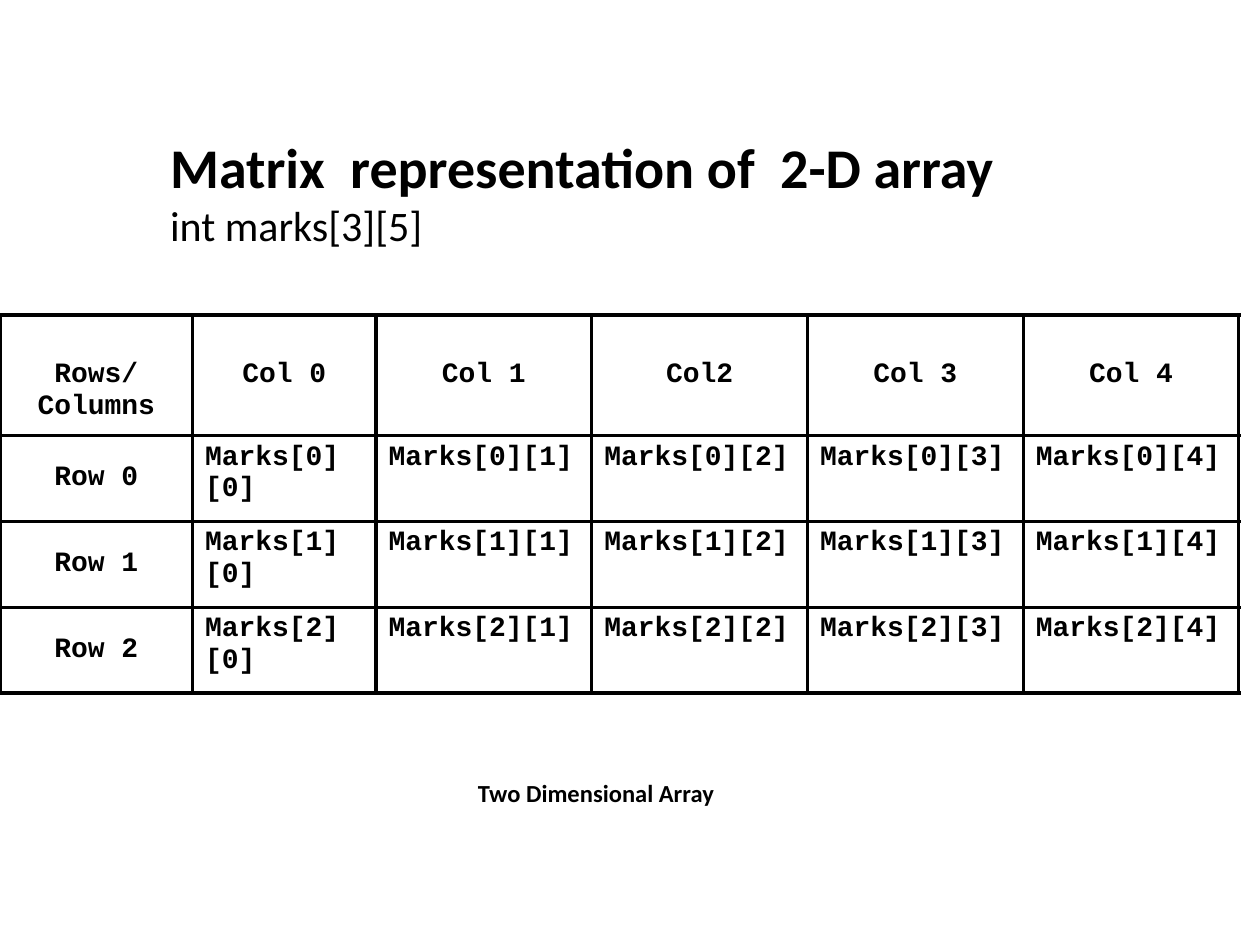
"""Builds the slide on the matrix view of a two-dimensional array."""
from lxml import etree
from pptx import Presentation
from pptx.dml.color import RGBColor
from pptx.enum.text import MSO_ANCHOR, PP_ALIGN
from pptx.oxml.ns import qn
from pptx.util import Cm, Pt

BLACK = RGBColor(0, 0, 0)
WHITE = RGBColor(255, 255, 255)


class Deck:
    body_font = "Calibri"
    code_font = "Courier New"
    border = Pt(2)

    def __init__(self, width, height):
        self.prs = Presentation()
        self.prs.slide_width, self.prs.slide_height = Cm(width), Cm(height)
        self.slide = self.prs.slides.add_slide(self.prs.slide_layouts[6])

    def add_text(self, paragraph, text, font, size, bold=True, align=PP_ALIGN.LEFT):
        paragraph.alignment = align
        run = paragraph.add_run()
        run.text = text
        run.font.name, run.font.size, run.font.bold = font, Pt(size), bold
        run.font.color.rgb = BLACK

    def text_box(self, box, lines, align=PP_ALIGN.LEFT, anchor=MSO_ANCHOR.TOP, inset=None):
        frame = self.slide.shapes.add_textbox(*map(Cm, box)).text_frame
        frame.word_wrap = True
        frame.vertical_anchor = anchor
        if inset is not None:
            frame.margin_left = frame.margin_right = Cm(inset)
            frame.margin_top = frame.margin_bottom = Cm(inset)
        for i, (text, size, bold) in enumerate(lines):
            paragraph = frame.add_paragraph() if i else frame.paragraphs[0]
            self.add_text(paragraph, text, self.body_font, size, bold, align)

    def outline(self, cell):
        props = cell._tc.get_or_add_tcPr()
        for i, side in enumerate(("a:lnL", "a:lnR", "a:lnT", "a:lnB")):
            line = etree.Element(qn(side), w=str(self.border))
            fill = etree.SubElement(line, qn("a:solidFill"))
            etree.SubElement(fill, qn("a:srgbClr"), val=str(BLACK))
            props.insert(i, line)

    def table(self, left, top, widths, heights, rows, size):
        table = self.slide.shapes.add_table(
            len(rows), len(widths), Cm(left), Cm(top),
            Cm(sum(widths)), Cm(sum(heights))).table
        for column, width in zip(table.columns, widths):
            column.width = Cm(width)
        for row, height in zip(table.rows, heights):
            row.height = Cm(height)
        for r, texts in enumerate(rows):
            for c, text in enumerate(texts):
                cell = table.cell(r, c)
                header = r == 0 or c == 0
                cell.vertical_anchor = MSO_ANCHOR.MIDDLE if header else MSO_ANCHOR.TOP
                cell.fill.solid()
                cell.fill.fore_color.rgb = WHITE
                self.outline(cell)
                self.add_text(cell.text_frame.paragraphs[0], text, self.code_font, size,
                              align=PP_ALIGN.CENTER if header else PP_ALIGN.LEFT)
        return table


deck = Deck(25.4, 19.05)
deck.text_box((3.18, 2.54, 17.53, 2.64), [
    ("Matrix  representation of  2-D array", 32, True),
    ("int marks[3][5]", 24, False),
])

header_row = ["Rows/Columns", "Col 0", "Col 1", "Col2", "Col 3", "Col 4"]
mark_rows = [[f"Row {r}"] + [f"Marks[{r}][{c}]" for c in range(5)] for r in range(3)]
marks = deck.table(0, 6.35, [3.88, 3.7] + [4.35] * 4, [2.43] + [1.73] * 3,
                   [header_row] + mark_rows, 16)
marks.cell(0, 0).margin_top = Cm(0.77)

deck.text_box((8.18, 15.67, 7.67, 0.61), [("Two Dimensional Array", 14, True)],
              PP_ALIGN.CENTER, MSO_ANCHOR.MIDDLE, 0)
deck.prs.save("out.pptx")
